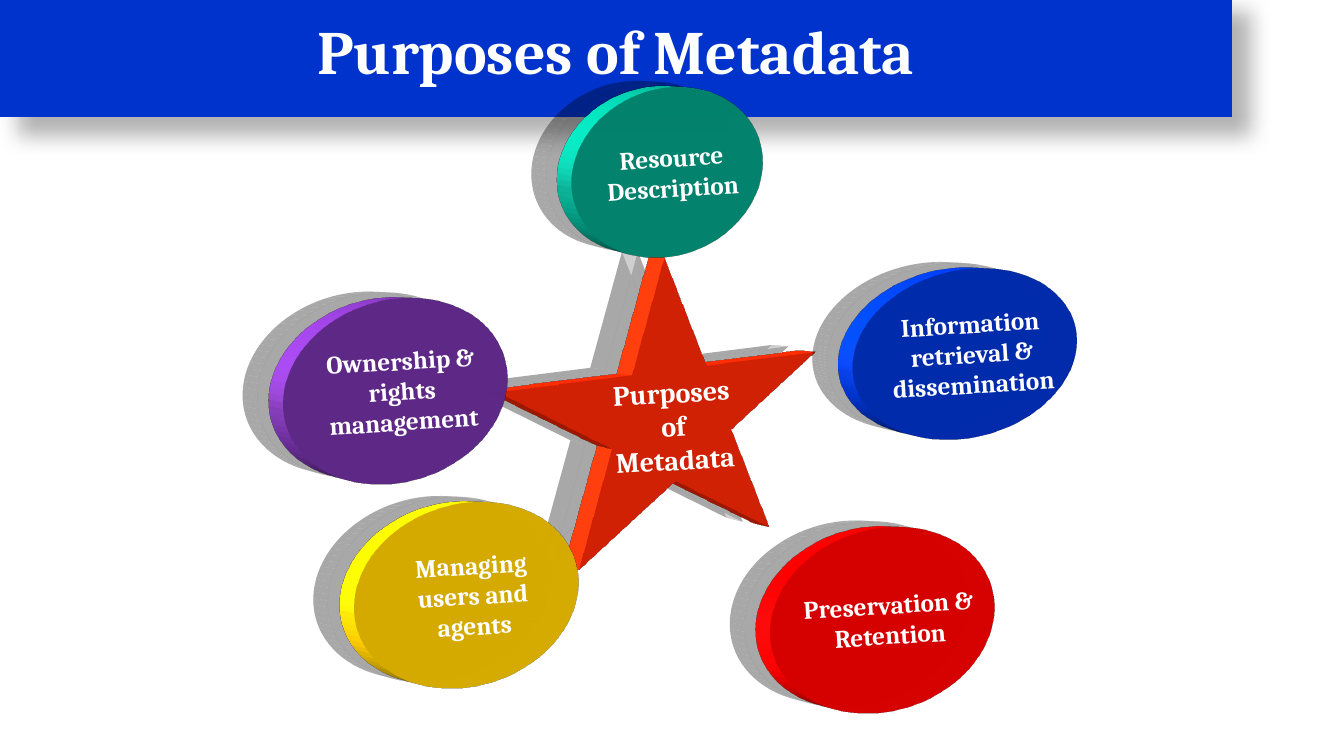
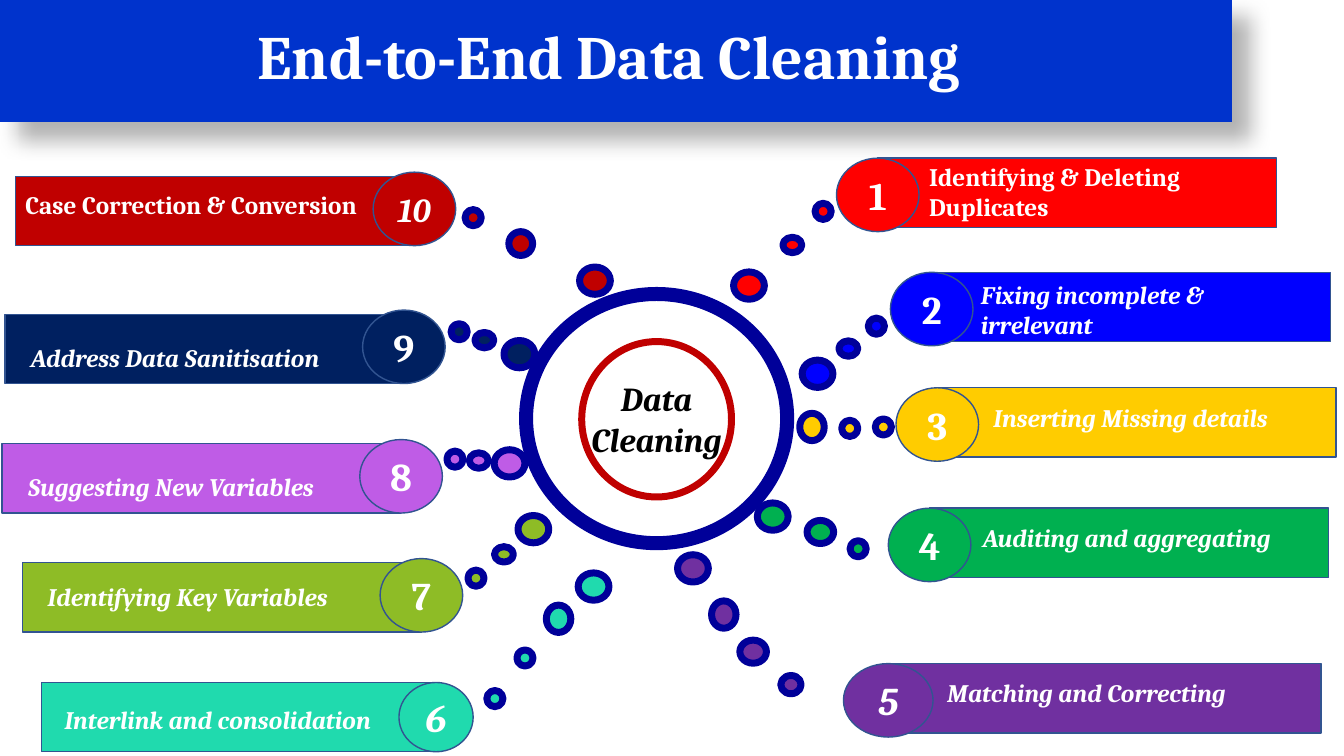
import pptx
import pptx.util
import pptx.dml.color
import pptx.enum.shapes
import pptx.enum.text
import pptx.oxml
import pptx.oxml.ns

Pt = pptx.util.Pt
SHAPE = pptx.enum.shapes.MSO_SHAPE
ALIGN = pptx.enum.text.PP_ALIGN
ANCHOR = pptx.enum.text.MSO_ANCHOR
FONT = "Cambria"
HEX = {
    "white": "FFFFFF", "black": "000000", "band": "0033CC", "star": "F72603",
    "teal": "039B82", "red": "FF0000", "gold": "FFCC00", "violet": "7030A0",
    "ring": "000099", "edge": "325491", "blue": "0000FF", "green": "00B050",
    "wine": "C00000", "navy": "002060", "orchid": "BF5CE6", "lime": "8EBC26",
    "mint": "20DAAE",
}

# Dot sizes: width, height
DOTS = {"big": (22, 19.5), "flat": (13.5, 11), "small": (11.5, 11.5),
        "wide": (19, 16.5), "tall": (17.5, 19.5), "round": (17, 17),
        "mid": (14.5, 13)}

# Star and the ellipses around it: text, colour, box
STAR = ("Purposes of Metadata", "star", (343.5, 184, 273, 209.5))
AIMS = [
    ("Resource Description", "teal", (397.5, 62.5, 165.5, 121)),
    ("Information retrieval & dissemination", "band", (597, 192, 194.5, 121)),
    ("Preservation & Retention", "red", (538, 376.5, 194.5, 132)),
    ("Managing users and agents", "gold", (240.5, 359, 194.5, 132)),
    ("Ownership & rights management", "violet", (190, 213, 194.5, 132)),
]

# Steps: number, text, colour, bar box, text offset in bar, dots from hub centre
BAR = (285, 49.5)
STEPS = [
    ("1", "Identifying & Deleting Duplicates", "red", (627, 113, *BAR), (29.5, -1.5),
     [("big", 66, -95), ("flat", 97, -124), ("small", 119, -148)]),
    ("2", "Fixing incomplete & irrelevant", "blue", (665.5, 194.5, *BAR), (28, 1.5),
     [("big", 115, -32), ("flat", 137, -50), ("small", 157, -66)]),
    ("4", "Auditing and aggregating", "green", (664, 363, *BAR), (31, 6.5),
     [("big", 83, 70), ("wide", 117, 81), ("small", 144, 93)]),
    ("3", "Inserting Missing details", "gold", (669.5, 277, *BAR), (33, 6.5),
     [("tall", 111, 6), ("small", 138, 7), ("small", 162, 6)]),
    ("10", "Case Correction & Conversion", "wine", (11, 126, *BAR), (0, 6),
     [("big", -44, -98.5), ("round", -97, -125), ("small", -131, -143.5)]),
    ("9", "Address Data Sanitisation", "navy", (3.5, 224.5, *BAR), (11.5, 16.5),
     [("big", -98, -46), ("flat", -123, -56), ("small", -141, -62)]),
    ("8", "Suggesting New Variables", "orchid", (1.5, 317, *BAR), (11.5, 16),
     [("big", -105, 32), ("flat", -127, 30), ("small", -144, 29)]),
    ("7", "Identifying Key Variables", "lime", (16, 402, *BAR), (11, 10),
     [("big", -88, 79), ("flat", -109, 97), ("small", -129, 114)]),
    ("6", "Interlink and consolidation", "mint", (29.5, 487.5, *BAR), (9.5, 12),
     [("big", -45, 120), ("tall", -70, 143), ("small", -94, 171),
      ("small", -115.5, 200)]),
    ("5", "Matching and Correcting", "violet", (634.5, 474, 309, 49.5), (35, 6.5),
     [("big", 26, 107), ("tall", 48, 140), ("wide", 69, 166.5), ("mid", 96, 190)]),
]
DISCS = {"5": (64, 52.5, 0), "6": (53, 49.5, 0)}  # width, height, lift
UPRIGHT = {"1", "10"}  # steps whose label is not italic
SLANT = {"5", "6", "10"}  # steps whose number is italic


def rgb(name):
    return pptx.dml.color.RGBColor.from_string(HEX[name])


def write(shape, text, size, color="white", italic=False, align=ALIGN.CENTER):
    frame = shape.text_frame
    frame.word_wrap = True
    frame.text = text
    para = frame.paragraphs[0]
    para.alignment = align
    font = para.runs[0].font
    font.name, font.size = FONT, Pt(size)
    font.bold, font.italic = True, italic
    font.color.rgb = rgb(color)


def draw(slide, kind, box, fill=None, line=None, width=1):
    shape = slide.shapes.add_shape(kind, *map(Pt, box))
    shape.shadow.inherit = False
    if fill:
        shape.fill.solid()
        shape.fill.fore_color.rgb = rgb(fill)
    else:
        shape.fill.background()
    if line:
        shape.line.color.rgb = rgb(line)
        shape.line.width = Pt(width)
    else:
        shape.line.fill.background()
    shape.text_frame.vertical_anchor = ANCHOR.MIDDLE
    return shape


def add_xml(parent, body):
    node = pptx.oxml.parse_xml(
        f'<a:x {pptx.oxml.ns.nsdecls("a")}>{body}</a:x>')
    for child in list(node):
        parent.append(child)


def shade(shape, alpha, blur, dist, angle, scale=100):
    shape.shadow.inherit = False
    effects = shape._element.spPr.find(pptx.oxml.ns.qn("a:effectLst"))
    add_xml(effects, f'''<a:outerShdw blurRad="{Pt(blur)}" dist="{Pt(dist)}"
        dir="{angle * 60000}" sx="{scale * 1000}" sy="{scale * 1000}" algn="ctr"
        rotWithShape="0"><a:srgbClr val="{HEX["black"]}">
        <a:alpha val="{alpha * 1000}"/></a:srgbClr></a:outerShdw>''')


def solid(slide, kind, text, color, box, size):
    """A turned, extruded shape with its label."""
    shape = draw(slide, kind, box, color)
    write(shape, text, size)
    shade(shape, 18, 14.5, 19, 192, 110)
    add_xml(shape._element.spPr, '''<a:scene3d>
        <a:camera prst="perspectiveFront" fov="3300000">
        <a:rot lat="486000" lon="19530000" rev="174000"/></a:camera>
        <a:lightRig rig="harsh" dir="t"><a:rot lat="0" lon="0" rev="3000000"/>
        </a:lightRig></a:scene3d>
        <a:sp3d extrusionH="254000" contourW="19050">
        <a:bevelT w="82550" h="44450" prst="angle"/>
        <a:bevelB w="82550" h="44450" prst="angle"/></a:sp3d>''')


def start(deck, text, top):
    """A new slide with the blue title band."""
    slide = deck.slides.add_slide(deck.slide_layouts[5])
    band = slide.shapes.title
    band.left, band.top, band.width, band.height = map(Pt, (0, top, 880, 88.5))
    band.fill.solid()
    band.fill.fore_color.rgb = rgb("band")
    write(band, text, 44)
    band.text_frame.paragraphs[0].line_spacing = 0.9
    band.text_frame.vertical_anchor = ANCHOR.MIDDLE
    band.text_frame.auto_size = pptx.enum.text.MSO_AUTO_SIZE.NONE
    shade(band, 30, 15, 18, 45)
    return slide


def center(slide, x, y):
    """Outer ring with text and the thin inner ring."""
    w, h = 186.5, 178
    ring = draw(slide, SHAPE.OVAL, (x - w / 2, y - h / 2, w, h), "white", "ring", 10)
    write(ring, "Data Cleaning", 24, "black", True)
    draw(slide, SHAPE.OVAL, (x - 53.5, y - 55, 107, 111), None, "wine", 5)


def trail(slide, x, y, color, dots):
    for kind, dx, dy in dots:
        w, h = DOTS[kind]
        draw(slide, SHAPE.OVAL, (x + dx - w / 2, y + dy - h / 2, w, h),
             color, "ring", 5)


def step(slide, box, number, text, color, shift):
    """A bar, its numbered disc on the inner end, and its label."""
    x, y, w, h = box
    right = x > 480
    draw(slide, SHAPE.RECTANGLE, box, color, "edge")
    dw, dh, lift = DISCS.get(number, (59, 52.5, 0 if right else 3))
    left = x - dw / 2 if right else x + w - 29.5
    disc = draw(slide, SHAPE.OVAL, (left, y - lift, dw, dh), color, "edge")
    write(disc, number, 24 if number == "10" else 28, italic=number in SLANT)
    label = slide.shapes.add_textbox(
        Pt(x + shift[0]), Pt(y + shift[1]), Pt(254 if right else 270), Pt(29))
    write(label, text, 18, italic=number not in UPRIGHT, align=ALIGN.LEFT)


def purposes(deck):
    slide = start(deck, "Purposes of Metadata", -5)
    solid(slide, SHAPE.STAR_5_POINT, *STAR, 20)
    for aim in AIMS:
        solid(slide, SHAPE.OVAL, *aim, 18)


def cleaning(deck):
    slide = start(deck, "End-to-End Data Cleaning ", -1.5)
    hub = (469, 299)
    center(slide, *hub)
    for number, text, color, box, shift, dots in STEPS:
        trail(slide, *hub, color, dots)
        step(slide, box, number, text, color, shift)


def main():
    deck = pptx.Presentation()
    deck.slide_width, deck.slide_height = Pt(960), Pt(540)
    purposes(deck)
    cleaning(deck)
    deck.save("out.pptx")


if __name__ == "__main__":
    main()
